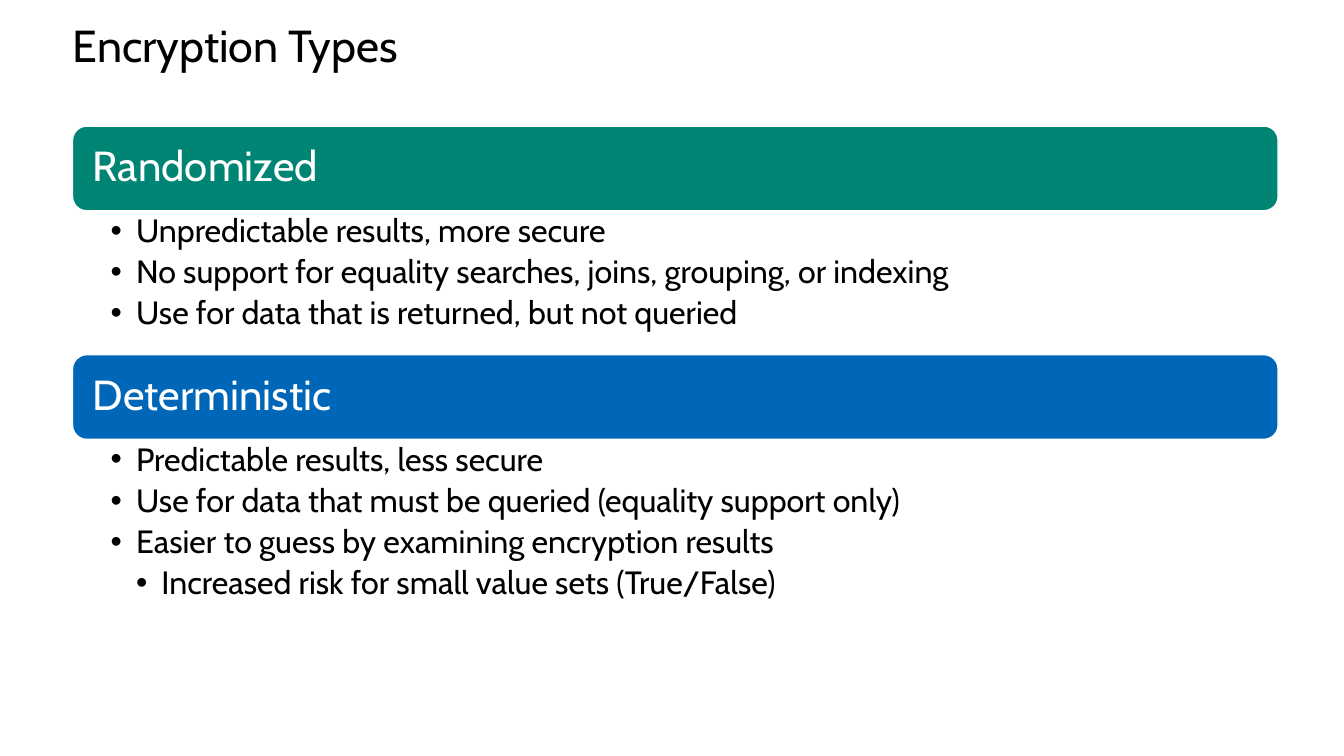
from dataclasses import dataclass

from pptx import Presentation
from pptx.dml.color import RGBColor as Rgb
from pptx.enum.shapes import MSO_SHAPE as Shape
from pptx.enum.text import MSO_ANCHOR as Anchor, MSO_AUTO_SIZE as Auto, PP_ALIGN as Align
from pptx.oxml.ns import qn
from pptx.util import Cm, Pt
from lxml.etree import SubElement

TITLE = "Encryption Types"
# Each block: heading, colour name, list height in cm, (level, text) bullets
BLOCKS = [
    ("Randomized", "green", 3.63, [
        (1, "Unpredictable results, more secure"),
        (1, "No support for equality searches, joins, grouping, or indexing"),
        (1, "Use for data that is returned, but not queried"),
    ]),
    ("Deterministic", "blue", 4.83, [
        (1, "Predictable results, less secure"),
        (1, "Use for data that must be queried (equality support only)"),
        (1, "Easier to guess by examining encryption results"),
        (2, "Increased risk for small value sets (True/False)"),
    ]),
]


@dataclass(frozen=True)
class Theme:
    font: str = "Cabin"
    title: int = 32
    head: int = 30
    body: int = 23
    black: Rgb = Rgb(0, 0, 0)
    white: Rgb = Rgb(255, 255, 255)
    green: Rgb = Rgb(0x00, 0x85, 0x75)
    blue: Rgb = Rgb(0x00, 0x67, 0xB8)


theme = Theme()
LEFT, WIDTH, TOP = 1.83, 30.38, 3.18
BAR, STEP = 2.13, 0.64


def style(para, size, color):
    para.alignment = Align.LEFT
    para.line_spacing = 0.9
    font = para.font
    font.name, font.size = theme.font, Pt(size)
    font.color.rgb = color


def set_frame(frame, left, top, right, low, anchor):
    frame.word_wrap = True
    frame.auto_size = Auto.NONE
    frame.margin_left, frame.margin_top = Cm(left), Cm(top)
    frame.margin_right, frame.margin_bottom = Cm(right), Cm(low)
    frame.vertical_anchor = anchor


def set_bullet(para, level):
    para.level = level
    props = para._p.get_or_add_pPr()
    props.set("marL", str(Cm(STEP * level)))
    props.set("indent", str(-Cm(STEP)))
    SubElement(props, qn("a:buFont")).set("typeface", "Arial")
    SubElement(props, qn("a:buChar")).set("char", "•")


def add_bar(slide, top, text, color):
    bar = slide.shapes.add_shape(
        Shape.ROUNDED_RECTANGLE, Cm(LEFT), Cm(top), Cm(WIDTH), Cm(BAR))
    bar.shadow.inherit = False
    bar.fill.solid()
    bar.fill.fore_color.rgb = color
    bar.line.color.rgb = theme.white
    bar.line.width = Pt(0.85)
    frame = bar.text_frame
    set_frame(frame, 0.41, 0.3, 0.41, 0.3, Anchor.MIDDLE)
    frame.text = text
    style(frame.paragraphs[0], theme.head, theme.white)


def add_list(slide, top, height, items):
    box = slide.shapes.add_textbox(Cm(LEFT), Cm(top), Cm(WIDTH), Cm(height))
    frame = box.text_frame
    set_frame(frame, 0.96, 0.1, 0.58, 0.1, Anchor.TOP)
    frame.text = "\n".join(text for _, text in items)
    for para, (level, _) in zip(frame.paragraphs, items):
        style(para, theme.body, theme.black)
        para.space_after = Pt(theme.body * 0.2)
        set_bullet(para, level)


def main():
    deck = Presentation()
    deck.slide_width, deck.slide_height = Cm(33.87), Cm(19.05)
    slide = deck.slides.add_slide(deck.slide_layouts.get_by_name("Title Only"))

    title = slide.shapes.title
    title.left, title.top = Cm(LEFT), Cm(0.61)
    title.width, title.height = Cm(31.34), Cm(2.49)
    title.text = TITLE
    set_frame(title.text_frame, 0, 0, 0, 0, Anchor.TOP)
    style(title.text_frame.paragraphs[0], theme.title, theme.black)

    top = TOP
    for head, color, height, items in BLOCKS:
        add_bar(slide, top, head, getattr(theme, color))
        add_list(slide, top + BAR, height, items)
        top += BAR + height

    deck.save("out.pptx")


if __name__ == "__main__":
    main()
